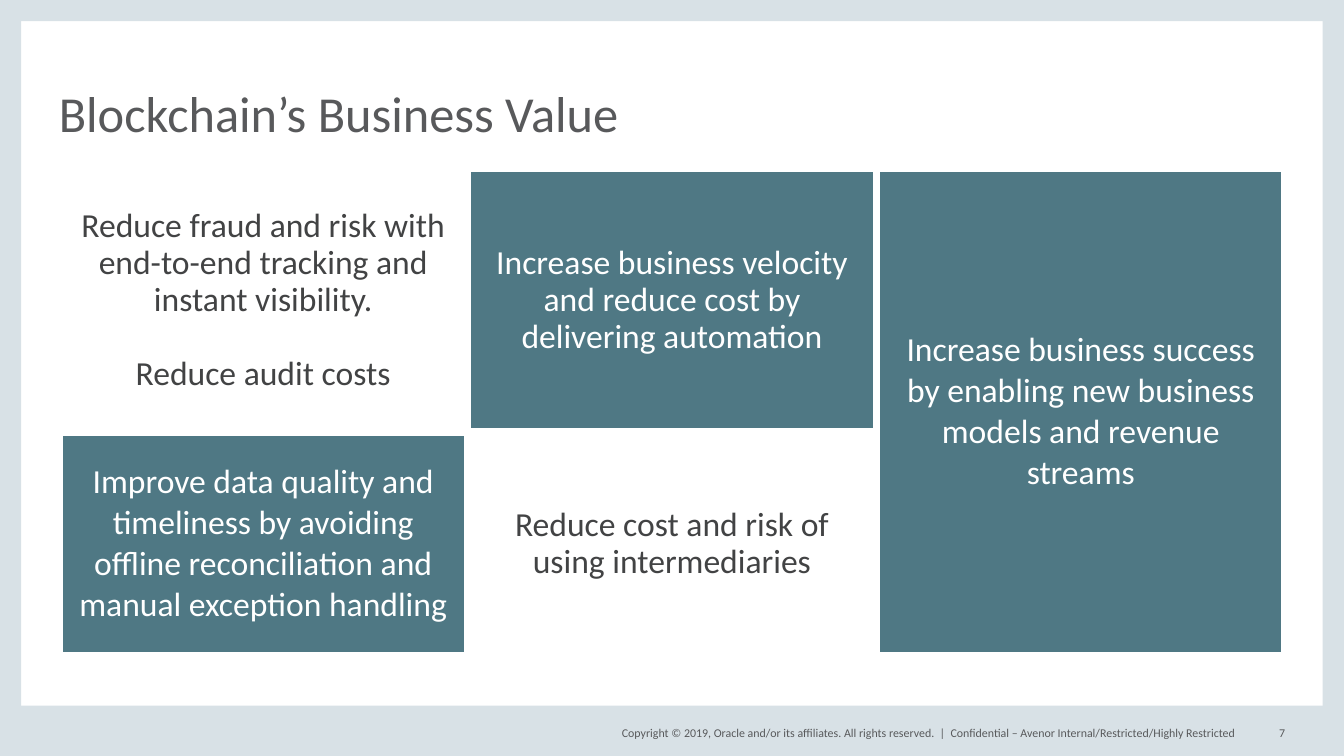
from lxml import etree
from pptx import Presentation
from pptx.dml.color import RGBColor
from pptx.enum.shapes import MSO_SHAPE
from pptx.enum.text import MSO_ANCHOR, PP_ALIGN
from pptx.oxml.ns import qn
from pptx.util import Pt

RECTANGLE = MSO_SHAPE.RECTANGLE
MIDDLE, BOTTOM = MSO_ANCHOR.MIDDLE, MSO_ANCHOR.BOTTOM
LEFT, CENTER, RIGHT = PP_ALIGN.LEFT, PP_ALIGN.CENTER, PP_ALIGN.RIGHT

FONT = "Calibri"
WHITE, TEAL, FRAME = "FFFFFF", "4F7884", "D8E1E6"
GREY, DARK = "58595B", "424344"
SLIDE_WIDTH, SLIDE_HEIGHT = 960, 540
FRAME_EDGE, FRAME_FOOT = 15.2, 36

TITLE = "Blockchain’s Business Value"
FOOTERS = [
    ("Copyright © 2019, Oracle and/or its affiliates. All rights reserved.  |", 423.4, 252, RIGHT),
    ("Confidential – Avenor Internal/Restricted/Highly Restricted", 679, 216, LEFT),
    ("7", 888, 30, RIGHT),
]
FOOTER_TOP, FOOTER_HEIGHT = 516.24, 14.4

TABLE_LEFT, TABLE_TOP = 42, 120.24
COLUMN_WIDTH, ROW_HEIGHTS = 292, [188.4, 159.6]
BORDER_WIDTH, PARAGRAPH_GAP = 6, 26.4
VALUES = {
    (0, 0): (["Reduce fraud and risk with end-to-end tracking and instant visibility.",
              "Reduce audit costs"], WHITE, DARK, 0.9),
    (0, 1): (["Increase business velocity and reduce cost by delivering automation"],
             TEAL, WHITE, 0.9),
    (0, 2): (["Increase business success by enabling new business models and revenue streams"],
             TEAL, WHITE, 1.0),
    (1, 0): (["Improve data quality and timeliness by avoiding offline reconciliation "
              "and manual exception handling"], TEAL, WHITE, 1.0),
    (1, 1): (["Reduce cost and risk of using intermediaries"], WHITE, DARK, 0.9),
}


def color(value):
    return RGBColor.from_string(value)


def write(para, text, size, ink, align, spacing=1.0):
    para.alignment = align
    para.line_spacing = spacing
    span = para.add_run()
    span.text = text
    span.font.name = FONT
    span.font.size = Pt(size)
    span.font.color.rgb = color(ink)


def add_band(page, left, top, width, height):
    band = page.shapes.add_shape(RECTANGLE, Pt(left), Pt(top), Pt(width), Pt(height))
    band.shadow.inherit = False
    band.fill.solid()
    band.fill.fore_color.rgb = color(FRAME)
    band.line.fill.background()


def add_text(page, text, left, top, width, height, size, align, anchor, spacing=1.0):
    box = page.shapes.add_textbox(Pt(left), Pt(top), Pt(width), Pt(height))
    frame = box.text_frame
    frame.word_wrap = True
    frame.vertical_anchor = anchor
    frame.margin_left = frame.margin_right = frame.margin_top = frame.margin_bottom = 0
    write(frame.paragraphs[0], text, size, GREY, align, spacing)


def add_borders(cell):
    properties = cell._tc.get_or_add_tcPr()
    for side in ("a:lnL", "a:lnR", "a:lnT", "a:lnB"):
        line = etree.SubElement(properties, qn(side), w=str(Pt(BORDER_WIDTH)))
        fill = etree.SubElement(line, qn("a:solidFill"))
        etree.SubElement(fill, qn("a:srgbClr"), val=WHITE)


def add_value_table(page):
    columns = 3
    table = page.shapes.add_table(
        len(ROW_HEIGHTS), columns, Pt(TABLE_LEFT), Pt(TABLE_TOP),
        Pt(COLUMN_WIDTH * columns), Pt(sum(ROW_HEIGHTS))).table
    table.first_row = table.horz_banding = False
    for column in table.columns:
        column.width = Pt(COLUMN_WIDTH)
    for row, height in zip(table.rows, ROW_HEIGHTS):
        row.height = Pt(height)
    for cell in table.iter_cells():
        add_borders(cell)
    table.cell(0, 2).merge(table.cell(1, 2))
    for (row, column), (texts, fill, ink, spacing) in VALUES.items():
        cell = table.cell(row, column)
        cell.vertical_anchor = MIDDLE
        cell.fill.solid()
        cell.fill.fore_color.rgb = color(fill)
        for index, text in enumerate(texts):
            if index:
                para = cell.text_frame.add_paragraph()
                para.space_before = Pt(PARAGRAPH_GAP)
            else:
                para = cell.text_frame.paragraphs[0]
            write(para, text, 24, ink, CENTER, spacing)


def main():
    deck = Presentation()
    deck.slide_width, deck.slide_height = Pt(SLIDE_WIDTH), Pt(SLIDE_HEIGHT)
    page = deck.slides.add_slide(deck.slide_layouts[6])
    for left in (0, SLIDE_WIDTH - FRAME_EDGE):
        add_band(page, left, 0, FRAME_EDGE, SLIDE_HEIGHT)
    for top, height in ((SLIDE_HEIGHT - FRAME_FOOT, FRAME_FOOT), (0, FRAME_EDGE)):
        add_band(page, 0, top, SLIDE_WIDTH, height)
    add_text(page, TITLE, TABLE_LEFT, 31.7, 876, 69.8, 36, LEFT, BOTTOM, 0.8)
    add_value_table(page)
    for text, left, width, align in FOOTERS:
        add_text(page, text, left, FOOTER_TOP, width, FOOTER_HEIGHT, 8.5, align, MIDDLE)
    deck.save("out.pptx")


if __name__ == "__main__":
    main()
